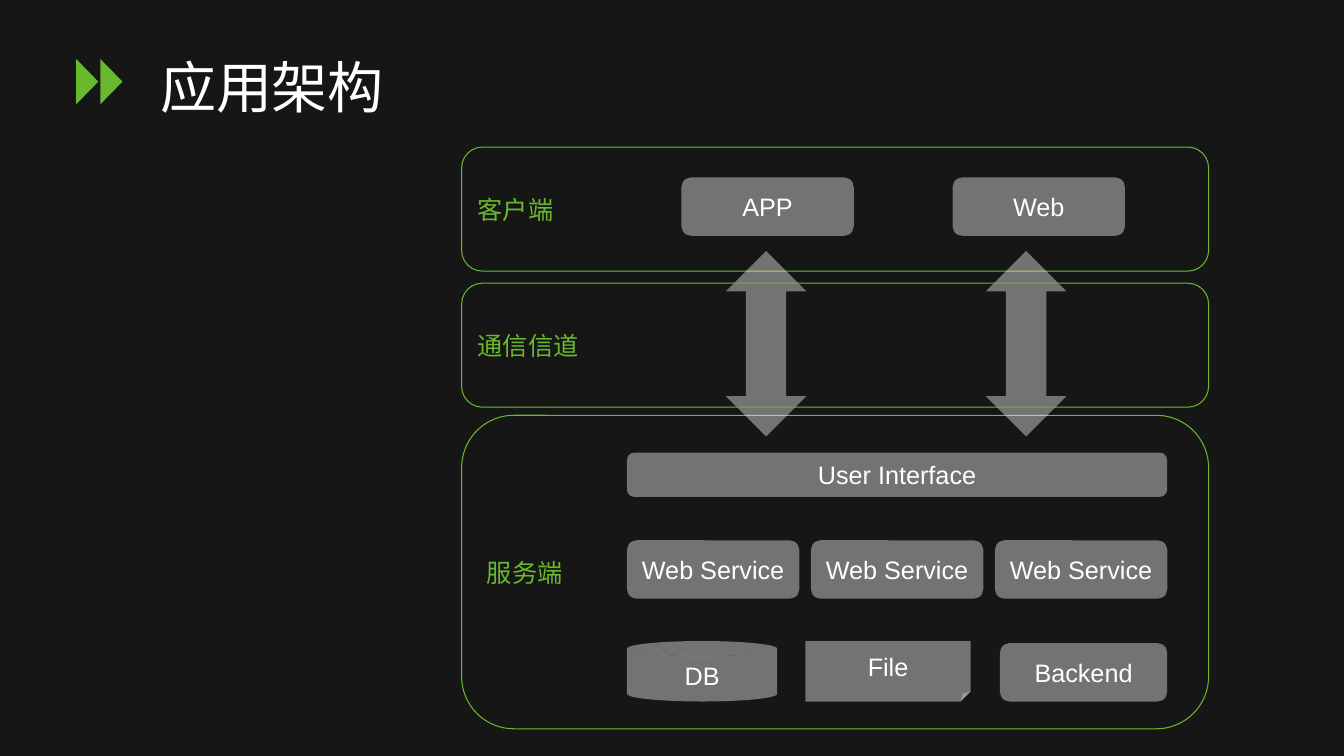
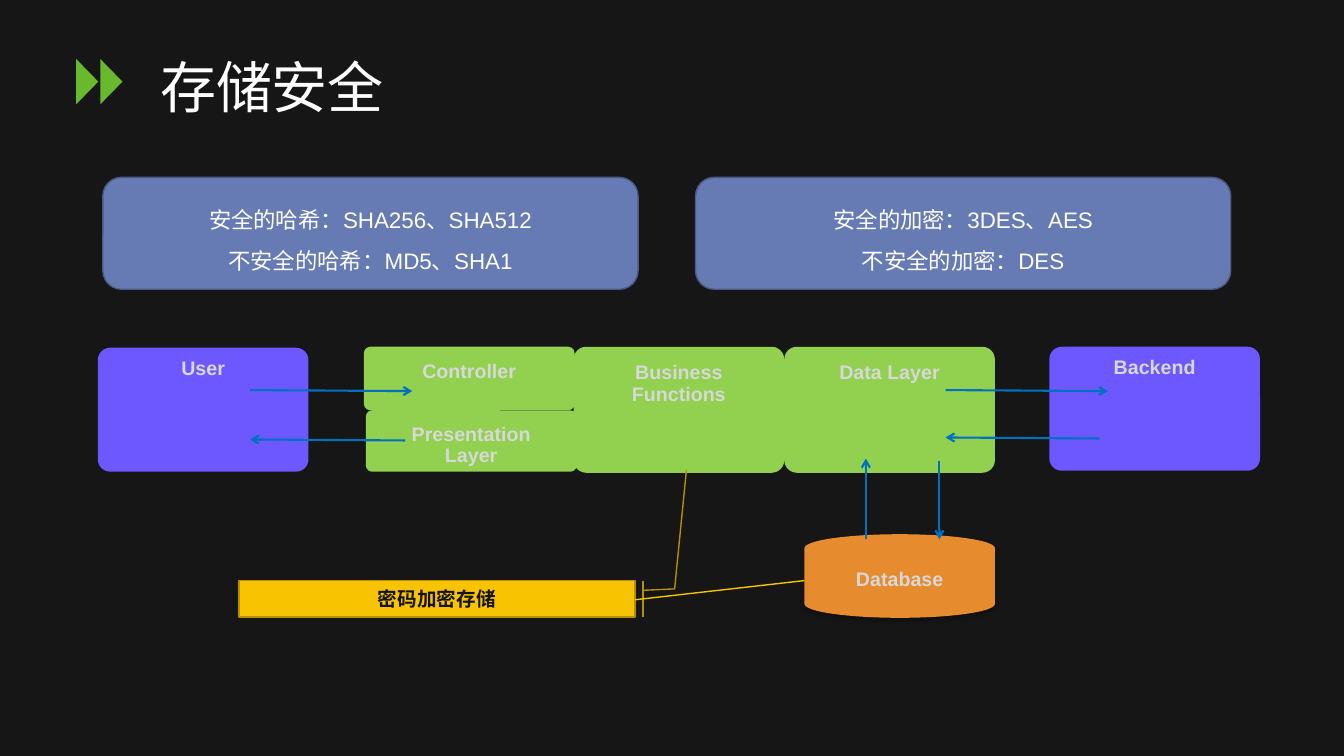
from lxml import etree
from pptx import Presentation
from pptx import util as u
from pptx.dml.color import RGBColor
from pptx.enum import shapes, text
from pptx.oxml.ns import qn

COLORS = {
    "ground": "161616", "green": "68B92E", "white": "FFFFFF",
    "outside": "6C58FE", "layer": "92D050", "label": "D8D8D8",
    "flow": "0070C0", "store": "FF9933", "note": "F8C300",
    "note_edge": "B79000", "ink": "141415", "advice": "667AB3",
    "advice_edge": "4B5A84", "shadow": "000000",
}
FONT, TITLE_FONT = "Arial", "Montserrat"
CELL = u.Inches(0.1)  # one grid column or row
COLS, ROWS = 133.33, 75

KIND = shapes.MSO_SHAPE
ALIGN = text.PP_ALIGN
ANCHOR = text.MSO_ANCHOR


def grid(*cells):
    return [u.Emu(round(cell * CELL)) for cell in cells]


def color(name):
    return RGBColor.from_string(COLORS[name])


def add_xml(parent, tag, **attributes):
    return etree.SubElement(parent, qn(tag), {k: str(v) for k, v in attributes.items()})


def write(shape, words, size=18, ink="white", bold=False, font=FONT,
          align=ALIGN.CENTER, anchor=ANCHOR.MIDDLE, spacing=None, top=0.5):
    """Fill a shape with text; each line feed starts a paragraph, \\v a line."""
    frame = shape.text_frame
    frame.word_wrap = True
    frame.vertical_anchor = anchor
    frame.margin_top = grid(top)[0]
    for number, line in enumerate(words.split("\n")):
        paragraph = frame.add_paragraph() if number else frame.paragraphs[0]
        paragraph.text = line
        paragraph.alignment = align
        if spacing:
            paragraph.line_spacing = spacing
        for run in paragraph.runs:
            run.font.size, run.font.name, run.font.bold = u.Pt(size), font, bold
            run.font.color.rgb = color(ink)


class Deck:
    """Holds the shared style and the current slide."""

    def __init__(self):
        self.file = Presentation()
        self.file.slide_width, self.file.slide_height = grid(COLS, ROWS)
        self.slide = None

    def page(self, title):
        self.slide = self.file.slides.add_slide(self.file.slide_layouts[6])
        ground = self.slide.background.fill
        ground.solid()
        ground.fore_color.rgb = color("ground")
        for left in (8.8, 6.4):
            self.shape(KIND.ISOSCELES_TRIANGLE, left, 7, 4.5, 2.2, "green").rotation = 90
        heading = self.slide.shapes.add_textbox(*grid(14.9, 1.7, 102.6, 14.5))
        write(heading, title, size=40, font=TITLE_FONT, align=ALIGN.LEFT, spacing=0.9)

    def shape(self, kind, left, top, width, height, fill=None, opacity=100,
              edge=None, weight=1, adjust=()):
        shape = self.slide.shapes.add_shape(kind, *grid(left, top, width, height))
        shape.shadow.inherit = False
        if fill:
            shape.fill.solid()
            shape.fill.fore_color.rgb = color(fill)
            if opacity < 100:
                tint = shape.fill._xPr.find(qn("a:solidFill"))[0]
                add_xml(tint, "a:alpha", val=opacity * 1000)
        else:
            shape.fill.background()
        if edge:
            shape.line.color.rgb = color(edge)
            shape.line.width = u.Pt(weight)
        else:
            shape.line.fill.background()
        for number, value in enumerate(adjust):
            shape.adjustments[number] = value
        return shape

    def node(self, words, *place, kind=KIND.ROUNDED_RECTANGLE):
        write(self.shape(kind, *place, "white", opacity=40), words)

    def frame(self, words, top, height):
        tier = self.shape(KIND.ROUNDED_RECTANGLE, 45.8, top, 74.1, height,
                          edge="green", weight=0.75)
        write(tier, words, ink="green", align=ALIGN.LEFT)

    def block(self, words, *place, fill="layer", top=1.25):
        part = self.shape(KIND.ROUNDED_RECTANGLE, *place, fill, adjust=[0.1])
        write(part, words, size=14, ink="label", bold=True, anchor=ANCHOR.TOP,
              spacing=0.9 if fill == "layer" else None, top=top)

    def line(self, x1, y1, x2, y2, ink="flow", weight=1.5, arrow=True):
        link = self.slide.shapes.add_connector(
            shapes.MSO_CONNECTOR.STRAIGHT, *grid(x1, y1, x2, y2))
        link.line.color.rgb = color(ink)
        link.line.width = u.Pt(weight)
        if arrow:
            add_xml(link.line._get_or_add_ln(), "a:tailEnd", type="arrow")
        add_xml(link._element.spPr, "a:effectLst")

    def drop_shadow(self, shape):
        effects = shape._element.spPr.find(qn("a:effectLst"))
        outer = add_xml(effects, "a:outerShdw", blurRad=u.Pt(3.5), dist=u.Pt(2.2),
                        dir=5400000, rotWithShape=0)
        tint = add_xml(outer, "a:srgbClr", val=COLORS["shadow"])
        add_xml(tint, "a:alpha", val=32000)


def architecture(deck):
    deck.page("应用架构")

    # Clients
    for client, left in (("APP", 67.6), ("Web", 94.5)):
        deck.node(client, left, 17.6, 17.1, 5.8)

    # Server parts
    left, width, service = 62.2, 53.6, 17.1
    deck.node("User Interface", left, 44.9, width, 4.4)
    for number in range(3):
        deck.node("Web Service", left + number * (width - service) / 2, 53.6, service, 5.8)
    deck.node("DB", left, 63.6, 14.9, 6, kind=KIND.CAN)
    deck.node("File", 79.9, 63.6, 16.4, 6, kind=KIND.FOLDED_CORNER)
    deck.node("Backend", 99.2, 63.8, 16.6, 5.8)

    # Tiers, with the channels crossing them
    deck.frame("客户端", 14.6, 12.3)
    deck.frame("服务端", 41.2, 31.1)
    for channel in (72, 97.8):
        deck.shape(KIND.UP_DOWN_ARROW, channel, 24.9, 8, 18.4, "white", opacity=40)
    deck.frame("通信信道", 28.1, 12.3)


def storage(deck):
    deck.page("存储安全")

    # Application layers, left to right
    width, top = 20.9, 34.4
    deck.block("Backend", 104.1, top, width, 12.3, fill="outside", top=0.5)
    deck.block("Controller", 36.1, top, width, 6.3)
    deck.block("Business Functions", 56.9, top, width, 12.5)
    deck.block("User", 9.7, 34.5, width, 12.3, fill="outside", top=0.5)
    deck.block("Data Layer", 77.8, top, width, 12.5)
    deck.block("Presentation\vLayer", 36.3, 40.7, width, 6.1)

    # Database
    database = deck.shape(KIND.FLOWCHART_MAGNETIC_DISK, 79.8, 53, 18.9, 8.3,
                          "store", opacity=90)
    deck.drop_shadow(database)
    write(database, "Database", size=14, ink="label", bold=True, anchor=ANCHOR.TOP)

    # Requests and replies
    for flow in ((24.8, 38.7, 40.9, 38.8), (40.2, 43.7, 24.8, 43.6),
                 (93.8, 38.7, 109.9, 38.8), (109.1, 43.5, 93.8, 43.4),
                 (85.9, 53.5, 85.9, 45.5), (93.2, 45.7, 93.2, 53.5)):
        deck.line(*flow)

    # Note on passwords
    note = deck.shape(KIND.LINE_CALLOUT_2_BORDER_AND_ACCENT_BAR, 23.7, 57.6, 39.3, 3.6,
                      "note", edge="note_edge",
                      adjust=[0.27, 1.02, 0.23, 1.1, -3.06, 1.13])
    write(note, "密码加密存储", size=14, ink="ink", bold=True)
    deck.line(63, 59.5, 79.8, 57.6, ink="note", weight=1, arrow=False)

    # Advice on algorithms
    for left, advice in ((10.2, "安全的哈希：SHA256、SHA512\n不安全的哈希：MD5、SHA1"),
                         (69, "安全的加密：3DES、AES\n不安全的加密：DES")):
        panel = deck.shape(KIND.ROUNDED_RECTANGLE, left, 17.6, 53.1, 11.1,
                           "advice", edge="advice_edge")
        write(panel, advice, size=16, spacing=1.5)


def main():
    deck = Deck()
    architecture(deck)
    storage(deck)
    deck.file.save("out.pptx")


if __name__ == "__main__":
    main()
